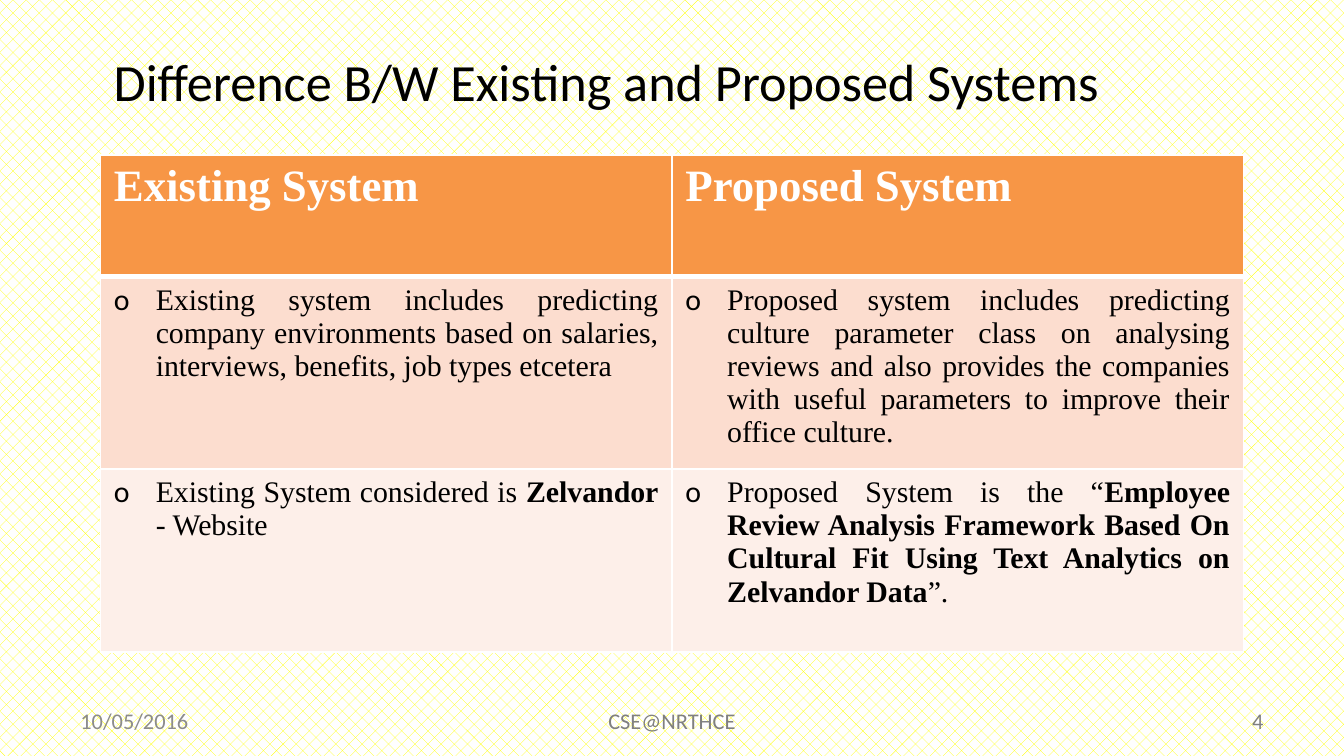
from dataclasses import dataclass

from lxml.etree import SubElement
from pptx import Presentation
from pptx.dml.color import RGBColor
from pptx.enum.dml import MSO_PATTERN
from pptx.enum.text import MSO_ANCHOR, PP_ALIGN
from pptx.oxml.ns import qn
from pptx.util import Cm, Pt


@dataclass(frozen=True)
class Theme:
    heading_font: str = "Calibri"
    table_font: str = "Times New Roman"
    title_size: int = 28
    header_size: int = 24
    body_size: int = 16
    footer_size: int = 12
    black: str = "000000"
    white: str = "FFFFFF"
    hatch: str = "FFFF00"
    date_grey: str = "8C8C8C"
    footer_grey: str = "808080"
    header_fill: str = "F79646"
    row_fills: tuple = ("FCDDCF", "FDEFE9")


THEME = Theme()
HEADERS = ("Existing System", "Proposed System")
# Each cell is a list of (text, bold) runs.
ROWS = (
    (
        [("Existing system includes predicting company environments based on "
          "salaries, interviews, benefits, job types etcetera", False)],
        [("Proposed system includes predicting culture parameter class on "
          "analysing reviews and also provides the companies with useful "
          "parameters to improve their office culture.", False)],
    ),
    (
        [("Existing System considered is ", False), ("Zelvandor", True),
         (" - Website", False)],
        [("Proposed System is the “", False),
         ("Employee Review Analysis Framework Based On Cultural Fit Using "
          "Text Analytics on Zelvandor Data", True),
         ("”.", False)],
    ),
)


def rgb(value):
    return RGBColor.from_string(value)


def add_span(para, text, font, size, color, bold=False):
    span = para.add_run()
    span.text = text
    span.font.name = font
    span.font.size = Pt(size)
    span.font.bold = bold
    span.font.color.rgb = rgb(color)


def add_label(page, text, left, top, width, height, size, color,
              align=PP_ALIGN.LEFT, anchor=MSO_ANCHOR.MIDDLE):
    box = page.shapes.add_textbox(Cm(left), Cm(top), Cm(width), Cm(height))
    frame = box.text_frame
    frame.word_wrap = True
    frame.vertical_anchor = anchor
    para = frame.paragraphs[0]
    para.alignment = align
    add_span(para, text, THEME.heading_font, size, color)


def paint_background(page):
    fill = page.background.fill
    fill.patterned()
    fill.pattern = MSO_PATTERN.PERCENT_30
    fill.fore_color.rgb = rgb(THEME.hatch)
    fill.back_color.rgb = rgb(THEME.white)


def style_cell(cell, color, top=1, bottom=1):
    """Set white borders, with top and bottom widths in points, and the fill."""
    properties = cell._tc.get_or_add_tcPr()
    for side, width in (("L", 1), ("R", 1), ("T", top), ("B", bottom)):
        line = SubElement(properties, qn(f"a:ln{side}"), w=str(Pt(width)))
        solid = SubElement(line, qn("a:solidFill"))
        SubElement(solid, qn("a:srgbClr"), val=THEME.white)
    cell.fill.solid()
    cell.fill.fore_color.rgb = rgb(color)


def add_bullet(para):
    properties = para._p.get_or_add_pPr()
    indent = Cm(0.79)
    properties.set("marL", str(indent))
    properties.set("indent", str(-indent))
    color = SubElement(properties, qn("a:buClr"))
    SubElement(color, qn("a:srgbClr"), val=THEME.black)
    SubElement(properties, qn("a:buFont"), typeface=THEME.heading_font)
    SubElement(properties, qn("a:buChar"), char="o")


def add_comparison(page):
    heights = (2.3, 3.45, 3.45)
    table = page.shapes.add_table(
        len(heights), len(HEADERS), Cm(1.9), Cm(2.93), Cm(21.6), Cm(sum(heights))
    ).table
    for row, height in zip(table.rows, heights):
        row.height = Cm(height)

    for column, text in enumerate(HEADERS):
        cell = table.cell(0, column)
        style_cell(cell, THEME.header_fill, bottom=3)
        add_span(cell.text_frame.paragraphs[0], text, THEME.table_font,
                 THEME.header_size, THEME.white, bold=True)

    for index, (cells, color) in enumerate(zip(ROWS, THEME.row_fills), start=1):
        for column, spans in enumerate(cells):
            cell = table.cell(index, column)
            style_cell(cell, color, top=3 if index == 1 else 1)
            para = cell.text_frame.paragraphs[0]
            para.alignment = PP_ALIGN.JUSTIFY
            add_bullet(para)
            for text, bold in spans:
                add_span(para, text, THEME.table_font, THEME.body_size,
                         THEME.black, bold)


def add_footer(page):
    for text, left, width, color, align in (
        ("10/05/2016", 1.27, 5.93, THEME.date_grey, PP_ALIGN.LEFT),
        ("CSE@NRTHCE", 8.68, 8.04, THEME.footer_grey, PP_ALIGN.CENTER),
        ("4", 18.2, 5.93, THEME.footer_grey, PP_ALIGN.RIGHT),
    ):
        add_label(page, text, left, 13.24, width, 0.76,
                  THEME.footer_size, color, align)


def main():
    deck = Presentation()
    deck.slide_width = Cm(25.4)
    deck.slide_height = Cm(14.29)
    page = deck.slides.add_slide(deck.slide_layouts[6])
    paint_background(page)
    add_footer(page)
    add_comparison(page)
    add_label(page, "Difference B/W Existing and Proposed Systems",
              1.9, 0.8, 21.6, 1.45, THEME.title_size, THEME.black,
              anchor=MSO_ANCHOR.TOP)
    deck.save("out.pptx")


if __name__ == "__main__":
    main()
